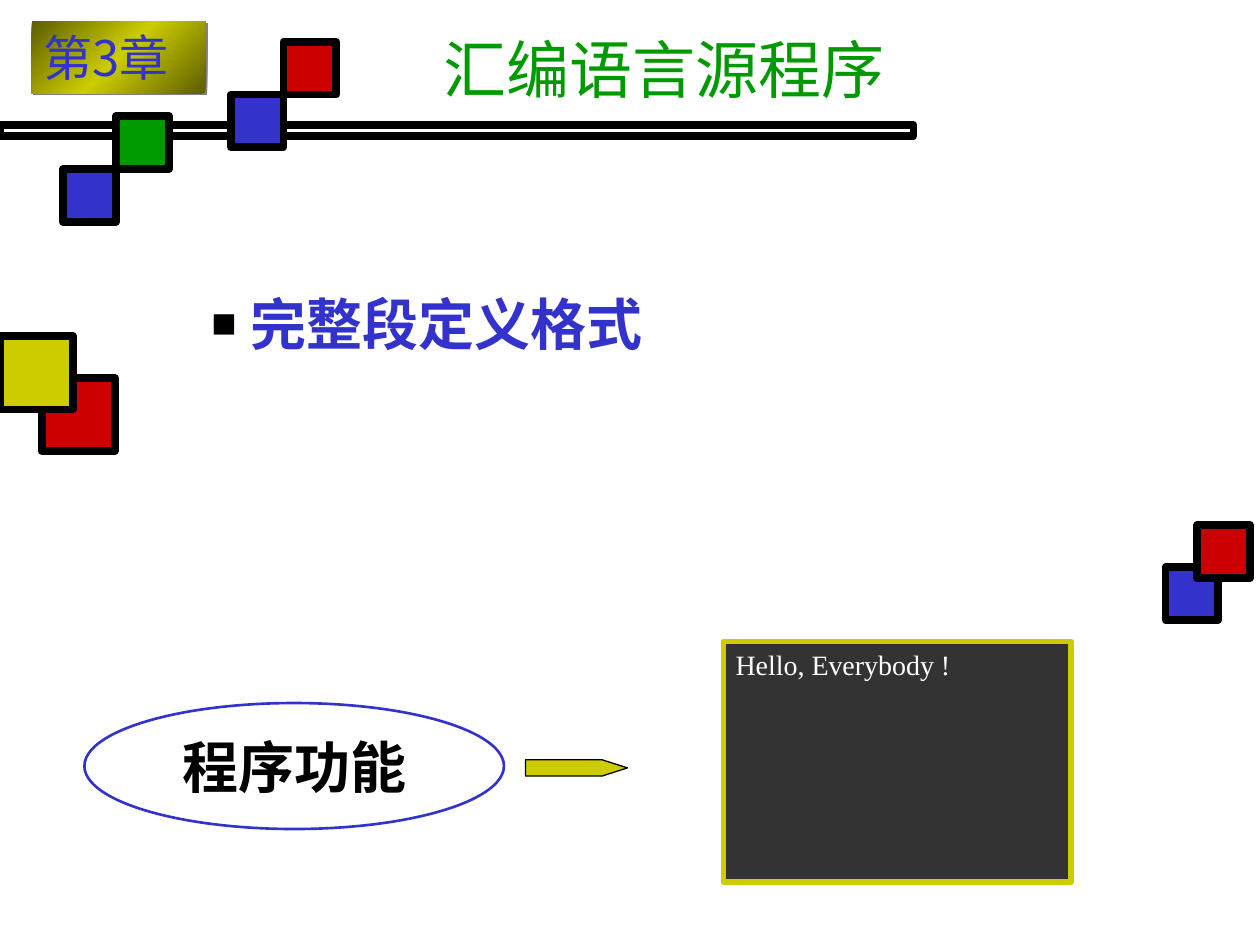
import copy

from lxml import etree
from pptx import Presentation
from pptx.dml.color import RGBColor
from pptx.enum import shapes, text
from pptx.oxml.ns import qn
from pptx.util import Emu, Inches, Pt

BLACK, BLUE, RED = "000000", "3333CC", "CC0000"
GREEN, YELLOW, OLIVE = "009900", "CCCC00", "5E5E00"
RECT, OVAL = shapes.MSO_SHAPE.RECTANGLE, shapes.MSO_SHAPE.OVAL
LEFT, CENTER = text.PP_ALIGN.LEFT, text.PP_ALIGN.CENTER
TOP, MIDDLE = text.MSO_ANCHOR.TOP, text.MSO_ANCHOR.MIDDLE


def rgb(color):
    return RGBColor.from_string(color)


def add(parent, tag, **attrs):
    el = etree.SubElement(parent, qn(tag))
    for name, value in attrs.items():
        el.set(name, str(value))
    return el


def paint(sp, fill=None, line=None, width=4.5):
    sp.shadow.inherit = False
    if fill:
        sp.fill.solid()
        sp.fill.fore_color.rgb = rgb(fill)
    else:
        sp.fill.background()
    if line:
        sp.line.color.rgb = rgb(line)
        sp.line.width = Pt(width)
    else:
        sp.line.fill.background()
    return sp


def shape(s, kind, box, **style):
    return paint(s.shapes.add_shape(kind, *map(Inches, box)), **style)


def write(sp, words, size, color, font, bold=False, align=LEFT, anchor=TOP, wrap=True):
    tf = sp.text_frame
    tf.word_wrap = wrap
    tf.vertical_anchor = anchor
    p = tf.paragraphs[0]
    p.alignment = align
    r = p.add_run()
    r.text = words
    r.font.size, r.font.bold, r.font.name = Pt(size), bold, font
    r.font.color.rgb = rgb(color)
    add(r.font._element, "a:ea", typeface="Noto Sans CJK JP")
    return p


def squares(s, left, top, size, places):
    """Draw outlined squares, each given as offset x, offset y and colour."""
    for dx, dy, color in places:
        shape(s, RECT, (left + dx, top + dy, size, size), fill=color, line=BLACK)


def decoration(s):
    shape(s, RECT, (0, 0.99, 7.25, 0.09), line=BLACK)
    squares(s, 9.25, 4.17, 0.42, [(0, 0.33, BLUE), (0.25, 0, RED)])
    for left, top, color in ((1.83, 0.33, RED), (0.5, 0.92, GREEN)):
        squares(s, left, top, 0.42, [(0, 0.42, BLUE), (0.42, 0, color)])
    squares(s, 0, 2.67, 0.58, [(0.33, 0.33, RED), (0, 0, YELLOW)])


def chapter_badge(s, box):
    sp = shape(s, RECT, box)
    sp.fill.gradient()
    sp.fill.gradient_angle = 315
    stops = sp._element.spPr.find(".//" + qn("a:gsLst"))
    stops.insert(1, copy.deepcopy(stops[0]))
    for stop, place, color in zip(sp.fill.gradient_stops, (0, 0.5, 1), (OLIVE, YELLOW, OLIVE)):
        stop.position = place
        stop.color.rgb = rgb(color)
    effects = sp._element.spPr.find(qn("a:effectLst"))
    shadow = add(effects, "a:outerShdw", dist=Pt(1.4), dir=45 * 60000, algn="ctr", rotWithShape=0)
    add(shadow, "a:srgbClr", val="808080")
    write(sp, "第3章", 28, BLUE, "Noto Sans CJK JP", wrap=False)


def title(s, box):
    sp = s.shapes.add_textbox(*map(Inches, box))
    write(sp, "汇编语言源程序", 36, GREEN, "Karla", anchor=MIDDLE)


def topic(s, box):
    sp = s.shapes.add_textbox(*map(Inches, box))
    p = write(sp, "完整段定义格式", 32, BLUE, "Arial", bold=True)
    pPr = p._p.get_or_add_pPr()
    pPr.set("marL", str(Inches(0.81)))
    pPr.set("indent", str(Inches(-0.31)))
    add(add(pPr, "a:buClr"), "a:srgbClr", val=BLACK)
    add(pPr, "a:buSzPct", val=75000)
    add(pPr, "a:buFont", typeface="Arial")
    add(pPr, "a:buChar", char="■")


def screen(s, box):
    sp = shape(s, RECT, box, fill="333333", line=YELLOW, width=3)
    write(sp, "Hello, Everybody !", 16, "FFFFFF", "Times New Roman")


def function_label(s, box):
    sp = shape(s, OVAL, box, line=BLUE, width=1.5)
    write(sp, "程序功能", 32, BLACK, "Arial", bold=True, align=CENTER, anchor=MIDDLE, wrap=False)


def pointer(s, box):
    x, y, w, h = map(Inches, box)
    neck = x + w * 3 // 4
    fb = s.shapes.build_freeform(x, y)
    fb.add_line_segments([(neck, y), (x + w, y + h // 2), (neck, y + h), (x, y + h)])
    paint(fb.convert_to_shape(Emu(0), Emu(0)), fill=YELLOW, line=BLACK, width=0.75)


def main():
    prs = Presentation()
    prs.slide_width, prs.slide_height = Inches(10), Inches(7.5)
    s = prs.slides.add_slide(prs.slide_layouts[6])
    decoration(s)
    chapter_badge(s, (0.25, 0.17, 1.38, 0.57))
    title(s, (3.42, 0.08, 6.58, 0.92))
    topic(s, (1.08, 2.25, 8.08, 4.5))
    screen(s, (5.74, 5.09, 2.76, 1.91))
    pointer(s, (4.17, 6.03, 0.81, 0.13))
    function_label(s, (0.67, 5.58, 3.33, 1))
    prs.save("out.pptx")


if __name__ == "__main__":
    main()
